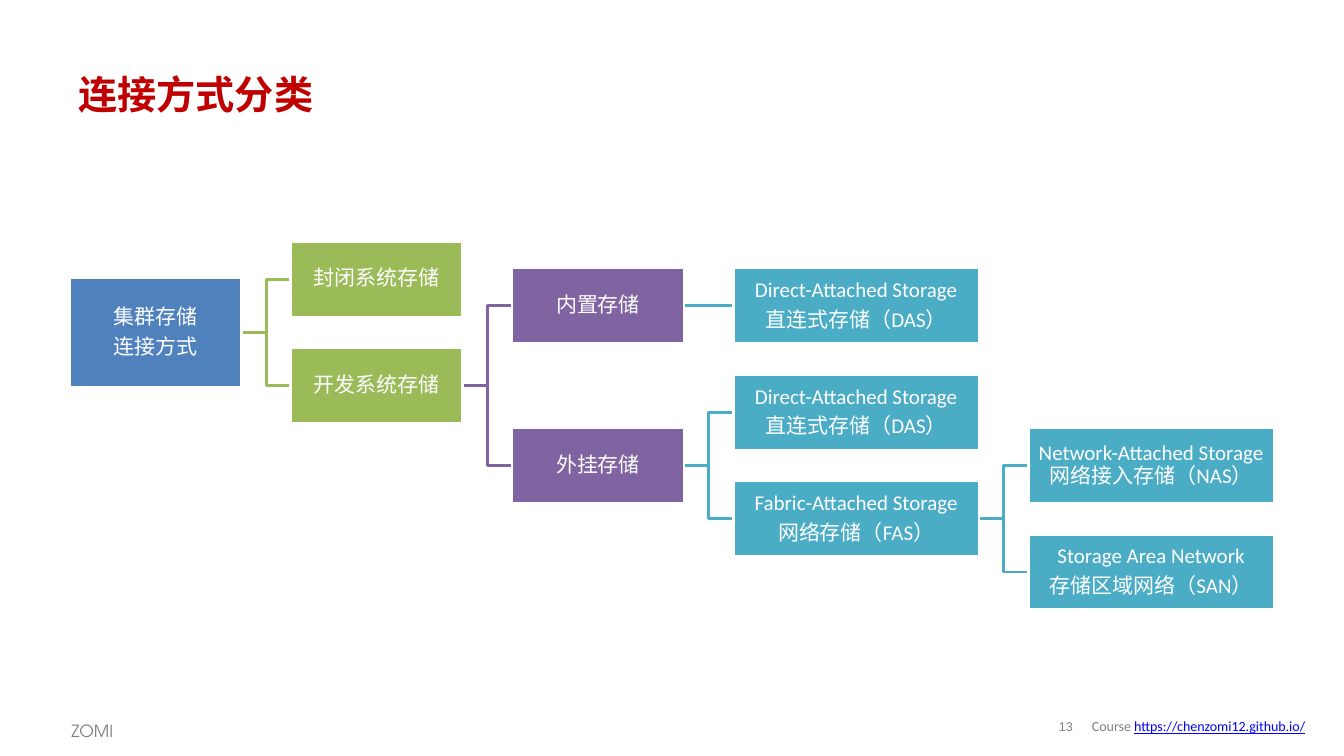
from lxml import etree
from pptx import Presentation
from pptx import util as u
from pptx.dml.color import RGBColor
from pptx.enum import shapes, text
from pptx.oxml import ns

COLORS = {"blue": "4F81BD", "green": "9BBB59", "purple": "8064A2", "teal": "4BACC6",
          "white": "FFFFFF", "red": "C00000", "gray": "808080", "link": "0000FF"}
NARROW, WIDE, GAP = 7, 10, 2
BOX_ROWS, ROOT_ROWS = 2.84, 4.13

NODES = {
    "root": (0, 2, NARROW, ROOT_ROWS, "blue", ["集群存储", "连接方式"]),
    "closed": (9, 0, NARROW, BOX_ROWS, "green", ["封闭系统存储"]),
    "open": (9, 4, NARROW, BOX_ROWS, "green", ["开发系统存储"]),
    "internal": (18, 1, NARROW, BOX_ROWS, "purple", ["内置存储"]),
    "external": (18, 7, NARROW, BOX_ROWS, "purple", ["外挂存储"]),
    "internal_das": (27, 1, WIDE, BOX_ROWS, "teal", ["Direct-Attached Storage", "直连式存储（DAS）"]),
    "external_das": (27, 5, WIDE, BOX_ROWS, "teal", ["Direct-Attached Storage", "直连式存储（DAS）"]),
    "fas": (27, 9, WIDE, BOX_ROWS, "teal", ["Fabric-Attached Storage", "网络存储（FAS）"]),
    "nas": (39, 7, WIDE, BOX_ROWS, "teal", ["Network-Attached Storage网络接入存储（NAS）"]),
    "san": (39, 11, WIDE, BOX_ROWS, "teal", ["Storage Area Network", "存储区域网络（SAN）"]),
}
CHILDREN = {"root": ["closed", "open"], "open": ["internal", "external"],
            "internal": ["internal_das"], "external": ["external_das", "fas"],
            "fas": ["nas", "san"]}


class TreeSlide:
    """Draws a storage tree on a column and row grid, plus text placed in slide percent."""

    def __init__(self, deck):
        self.deck = deck
        self.page = deck.slides.add_slide(deck.slide_layouts[6])
        self.left, self.top = u.Inches(0.69), u.Inches(2.77)
        self.column, self.row = u.Inches(0.244), u.Inches(0.264)

    def point(self, column, row):
        return int(self.left + column * self.column), int(self.top + row * self.row)

    def span(self, para, wording, size, color, font="Calibri", bold=None, underline=None):
        span = para.add_run()
        span.text = wording
        span.font.size, span.font.name = u.Pt(size), font
        span.font.bold, span.font.underline = bold, underline
        span.font.color.rgb = RGBColor.from_string(COLORS[color])

    def label(self, left, top, width, height, anchor=text.MSO_ANCHOR.MIDDLE):
        wide, high = self.deck.slide_width / 100, self.deck.slide_height / 100
        box = self.page.shapes.add_textbox(int(left * wide), int(top * high),
                                           int(width * wide), int(height * high))
        box.text_frame.word_wrap = True
        box.text_frame.vertical_anchor = anchor
        return box.text_frame

    def margins(self, frame, inset):
        frame.margin_left = frame.margin_right = inset
        frame.margin_top = frame.margin_bottom = inset

    def node(self, column, row, columns, rows, color, lines):
        x, y = self.point(column, row - rows / 2)
        box = self.page.shapes.add_shape(shapes.MSO_SHAPE.RECTANGLE, x, y,
                                         int(columns * self.column), int(rows * self.row))
        box.shadow.inherit = False
        box.fill.solid()
        box.fill.fore_color.rgb = RGBColor.from_string(COLORS[color])
        self.stroke(box, "white")
        frame = box.text_frame
        frame.word_wrap = True
        frame.vertical_anchor = text.MSO_ANCHOR.MIDDLE
        self.margins(frame, u.Inches(0.01))
        for index, line in enumerate(lines):
            para = frame.add_paragraph() if index else frame.paragraphs[0]
            para.alignment = text.PP_ALIGN.CENTER
            para.line_spacing, para.space_after = 0.9, u.Pt(5)
            self.span(para, line, 15, "white")

    def stroke(self, shape, color):
        shape.line.color.rgb = RGBColor.from_string(COLORS[color])
        shape.line.width = u.Pt(2)

    def branch(self, column, start_row, end_row, color):
        start, end = self.point(column, start_row), self.point(column + GAP, end_row)
        if start_row == end_row:
            line = self.page.shapes.add_connector(shapes.MSO_CONNECTOR.STRAIGHT, *start, *end)
            etree.SubElement(line._element.spPr, ns.qn("a:effectLst"))
            self.stroke(line, color)
            return
        bends = [self.point(column + GAP / 2, row) for row in (start_row, end_row)]
        builder = self.page.shapes.build_freeform(*start)
        builder.add_line_segments([*bends, end], close=False)
        elbow = builder.convert_to_shape()
        elbow.shadow.inherit = False
        elbow.fill.background()
        self.stroke(elbow, color)


def main():
    deck = Presentation()
    deck.slide_width, deck.slide_height = u.Inches(13.34), u.Inches(7.5)
    tree = TreeSlide(deck)

    number = tree.label(77.96, 94.13, 2.7, 4.13)
    tree.margins(number, 0)
    number.paragraphs[0].alignment = text.PP_ALIGN.CENTER
    number.paragraphs[0].line_spacing = 0.85
    tree.span(number.paragraphs[0], "13", 9, "gray", "Arial")

    author = tree.label(4.57, 94.13, 6, 4.27, text.MSO_ANCHOR.TOP)
    author.paragraphs[0].line_spacing = 1.2
    tree.span(author.paragraphs[0], "ZOMI", 12, "gray", "TeX Gyre Adventor")

    course = tree.label(80.51, 94.13, 18.44, 3.87).paragraphs[0]
    tree.span(course, "Course ", 10, "gray")
    tree.span(course, "https://chenzomi12.github.io/", 10, "link", underline=True)

    title = tree.label(5.1, 8.13, 89.88, 8.53).paragraphs[0]
    tree.span(title, "连接方式分类", 28, "red", "TeX Gyre Adventor", bold=True)

    for parent, children in CHILDREN.items():
        column, row, columns = NODES[parent][:3]
        for child in children:
            tree.branch(column + columns, row, NODES[child][1], NODES[child][4])
    for node in NODES.values():
        tree.node(*node)

    deck.save("out.pptx")


if __name__ == "__main__":
    main()
